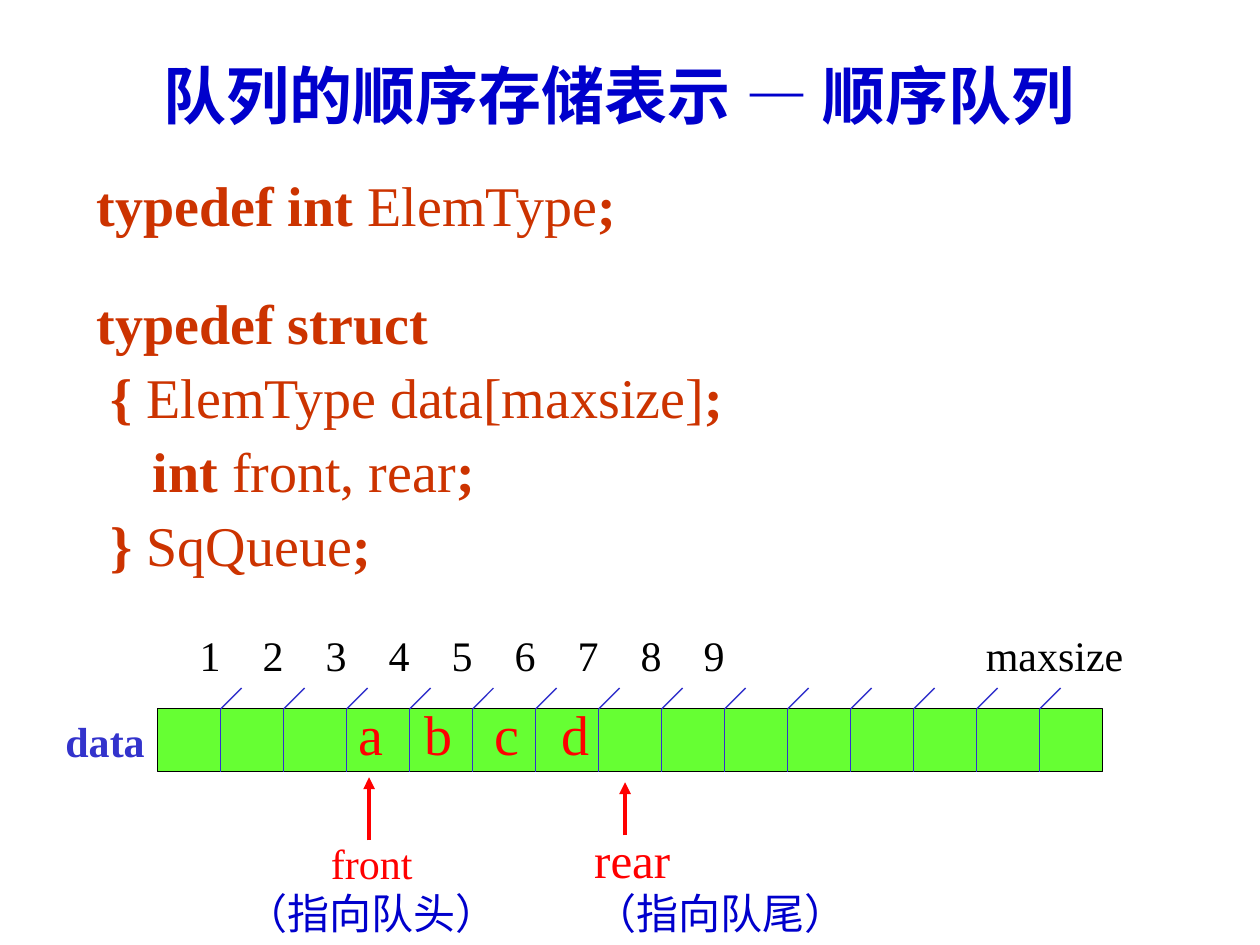
"""Build the slide on how a sequential queue is stored."""
from dataclasses import dataclass

from lxml.etree import SubElement
from pptx import Presentation
from pptx.dml.color import RGBColor
from pptx.enum.shapes import MSO_CONNECTOR, MSO_SHAPE
from pptx.enum.text import MSO_ANCHOR, PP_ALIGN
from pptx.oxml.ns import qn
from pptx.util import Cm, Pt


@dataclass(frozen=True)
class Theme:
    latin: str = "Times New Roman"
    asian: str = "Noto Sans CJK SC"
    head: str = "0000CC"
    code: str = "CC3300"
    ink: str = "000000"
    grid: str = "3333CC"
    bar: str = "66FF33"
    mark: str = "FF0000"
    title: int = 36
    large: int = 32
    middle: int = 28
    small: int = 24


theme = Theme()


def style(run, size, color, bold=False):
    font = run.font
    font.name, font.size, font.bold = theme.latin, Pt(size), bold
    font.color.rgb = RGBColor.from_string(color)
    SubElement(run._r.get_or_add_rPr(), qn("a:ea")).set("typeface", theme.asian)


def draw(x1, y1, x2, y2, color, width):
    link = slide.shapes.add_connector(
        MSO_CONNECTOR.STRAIGHT, Cm(x1), Cm(y1), Cm(x2), Cm(y2))
    link.line.color.rgb = RGBColor.from_string(color)
    link.line.width = Pt(width)
    SubElement(link._element.spPr, qn("a:effectLst"))
    return link


deck = Presentation()
deck.slide_width, deck.slide_height = Cm(25.4), Cm(19.05)
slide = deck.slides.add_slide(deck.slide_layouts[5])

title = slide.shapes.title
title.left, title.top, title.width, title.height = Cm(1.9), Cm(1.06), Cm(21.17), Cm(1.69)
frame = title.text_frame
frame.text = "队列的顺序存储表示 — 顺序队列"
frame.vertical_anchor = MSO_ANCHOR.MIDDLE
frame.paragraphs[0].alignment = PP_ALIGN.CENTER
style(frame.paragraphs[0].runs[0], theme.title, theme.head, True)

code = [
    (0, 0, ["typedef int ", "ElemType", ";"]),
    (0, 25, ["typedef struct"]),
    (8, 0, ["{ ", "ElemType data[maxsize]", ";"]),
    (32, 0, ["int ", "front, rear", ";"]),
    (8, 0, ["} ", "SqQueue", ";"]),
]
box = slide.shapes.add_textbox(Cm(1.7), Cm(3.18), Cm(22.66), Cm(9.68))
frame = box.text_frame
frame.word_wrap = True
for row, (indent, gap, parts) in enumerate(code):
    para = frame.paragraphs[0] if row == 0 else frame.add_paragraph()
    para.line_spacing = 1.1
    para.space_before = Pt(gap)
    para._p.get_or_add_pPr().set("marL", str(Pt(indent)))
    for spot, part in enumerate(parts):
        run = para.add_run()
        run.text = part
        style(run, theme.large, theme.code, spot != 1)

left, top, cell, count, slant = 3.18, 14.29, 1.27, 15, 0.42
bar = slide.shapes.add_shape(
    MSO_SHAPE.RECTANGLE, Cm(left), Cm(top), Cm(cell * count), Cm(cell))
bar.shadow.inherit = False
bar.fill.solid()
bar.fill.fore_color.rgb = RGBColor.from_string(theme.bar)
bar.line.color.rgb = RGBColor.from_string(theme.ink)
bar.line.width = Pt(0.75)
for step in range(1, count):
    x = left + step * cell
    draw(x, top, x, top + cell, theme.grid, 0.75)
    draw(x, top, x + slant, top - slant, theme.grid, 0.75)

for x, low, high in [(7.44, 16.94, 15.67), (12.6, 16.84, 15.77)]:
    arrow = draw(x, low, x, high, theme.mark, 2.25)
    SubElement(arrow.line._get_or_add_ln(), qn("a:tailEnd")).set("type", "triangle")

mid, start = PP_ALIGN.CENTER, PP_ALIGN.LEFT
labels = [
    (3.6 + step * cell, 12.57, cell, 1.27, mid, False,
     [(str(step + 1), theme.small, theme.ink)])
    for step in range(9)
]
labels += [
    (6.78 + step * 1.38, 13.97, 1.38, 1.63, mid, False,
     [(item, theme.large, theme.mark)])
    for step, item in enumerate("abcd")
]
labels += [
    (19.56, 12.57, 3.4, 1.27, mid, False, [("maxsize", theme.small, theme.ink)]),
    (1.07, 14.29, 2.11, 1.27, start, True, [("data", theme.small, theme.grid)]),
    (4.7, 16.76, 5.59, 2.29, mid, False,
     [("front", theme.small, theme.mark), ("（指向队头）", theme.small, theme.head)]),
    (11.73, 16.59, 5.59, 2.46, start, False,
     [("rear", theme.middle, theme.mark), ("（指向队尾）", theme.small, theme.head)]),
]
for x, y, width, height, align, bold, lines in labels:
    box = slide.shapes.add_textbox(Cm(x), Cm(y), Cm(width), Cm(height))
    frame = box.text_frame
    frame.word_wrap = False
    frame.text = "\n".join(text for text, size, color in lines)
    for para, (text, size, color) in zip(frame.paragraphs, lines):
        para.alignment = align
        style(para.runs[0], size, color, bold)

deck.save("out.pptx")
